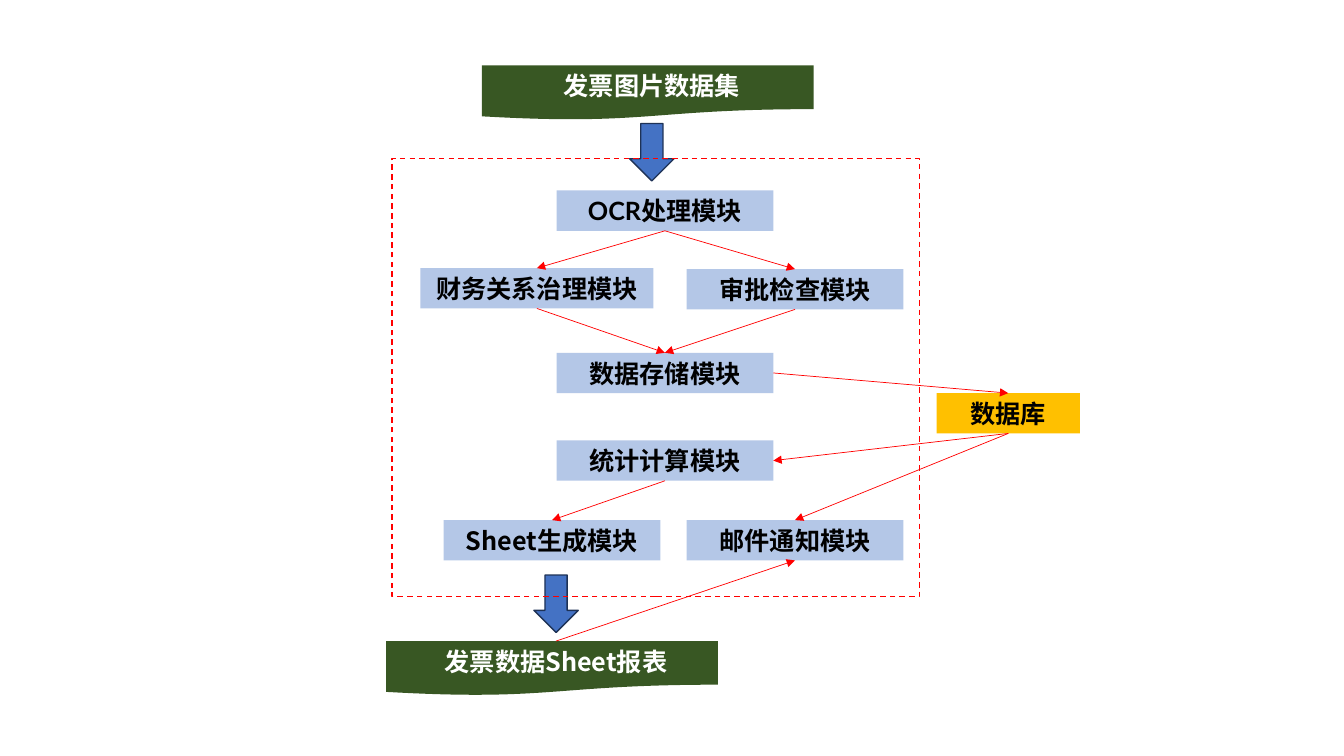
"""Build the invoice processing flow slide."""
from pptx import Presentation
from pptx.util import Inches, Pt
from pptx.dml.color import RGBColor
from pptx.enum import dml, shapes, text
from pptx.oxml.ns import qn
from lxml import etree

BLUE = RGBColor(0x44, 0x72, 0xC4)
NAVY = RGBColor(0x1E, 0x32, 0x56)
PALE = RGBColor(0xB4, 0xC7, 0xE7)
GREEN = RGBColor(0x38, 0x57, 0x23)
GOLD = RGBColor(0xFF, 0xC0, 0x00)
RED = RGBColor(0xFF, 0x00, 0x00)
BLACK = RGBColor(0, 0, 0)
WHITE = RGBColor(0xFF, 0xFF, 0xFF)
LATO, NOTO = "Lato", "Noto Sans CJK SC"
TOP, LEFT, BOTTOM, RIGHT = range(4)
KIND = shapes.MSO_SHAPE

deck = Presentation()
deck.slide_width, deck.slide_height = Inches(13.33), Inches(7.5)
slide = deck.slides.add_slide(deck.slide_layouts[6])


def draw(home, kind, box, fill=None):
    shape = home.add_shape(kind, *map(Inches, box))
    shape.shadow.inherit = False
    shape.line.fill.background()
    if fill is None:
        shape.fill.background()
    else:
        shape.fill.solid()
        shape.fill.fore_color.rgb = fill
    return shape


def write(shape, parts, color):
    frame = shape.text_frame
    frame.word_wrap = True
    frame.vertical_anchor = text.MSO_ANCHOR.MIDDLE
    para = frame.paragraphs[0]
    para.alignment = text.PP_ALIGN.CENTER
    for words, face in parts:
        run = para.add_run()
        run.text = words
        run.font.name, run.font.size, run.font.bold = face, Pt(18), True
        run.font.color.rgb = color
        east = etree.SubElement(run.font._element, qn("a:ea"))
        east.set("typeface", NOTO)


for left, top in [(5.23, 5.77), (6.18, 1.29)]:
    arrow = draw(slide.shapes, KIND.RIGHT_ARROW, (left, top, 0.57, 0.44), BLUE)
    arrow.rotation = 90
    arrow.line.color.rgb, arrow.line.width = NAVY, Pt(1)

border = draw(slide.shapes, KIND.RECTANGLE, (3.89, 1.57, 5.23, 4.35))
border.line.color.rgb, border.line.width = RED, Pt(1)
border.line.dash_style = dml.MSO_LINE.DASH

nodes = {}
for key, left, top, width, fill, parts in [
    ("ocr", 5.52, 1.89, 2.15, PALE, [("OCR处理模块", LATO)]),
    ("finance", 4.17, 2.66, 2.31, PALE, [("财务关系治理", NOTO), ("模块", LATO)]),
    ("check", 6.81, 2.67, 2.15, PALE, [("审批检查模块", LATO)]),
    ("store", 5.52, 3.5, 2.15, PALE, [("数据存储模块", LATO)]),
    ("stats", 5.52, 4.37, 2.15, PALE, [("统计计算模块", LATO)]),
    ("sheet", 4.4, 5.16, 2.15, PALE, [("Sheet生成模块", NOTO)]),
    ("mail", 6.81, 5.16, 2.15, PALE, [("邮件通知模块", NOTO)]),
    ("base", 9.29, 3.9, 1.42, GOLD, [("数据库", LATO)]),
]:
    nodes[key] = draw(slide.shapes, KIND.RECTANGLE, (left, top, width, 0.4), fill)
    write(nodes[key], parts, BLACK)

for key, left, top, words in [
    ("input", 4.78, 0.65, "发票图片数据集"),
    ("report", 3.83, 6.36, "发票数据Sheet报表"),
]:
    group = slide.shapes.add_group_shape()
    draw(group.shapes, KIND.FLOWCHART_DOCUMENT, (left, top, 3.29, 0.54), GREEN)
    label = group.shapes.add_textbox(*map(Inches, (left - 0.08, top, 3.53, 0.4)))
    write(label, [(words, NOTO)], WHITE)
    nodes[key] = label

for start, out, end, into in [
    ("ocr", BOTTOM, "finance", TOP),
    ("ocr", BOTTOM, "check", TOP),
    ("finance", BOTTOM, "store", TOP),
    ("check", BOTTOM, "store", TOP),
    ("store", RIGHT, "base", TOP),
    ("base", BOTTOM, "stats", RIGHT),
    ("base", BOTTOM, "mail", TOP),
    ("stats", BOTTOM, "sheet", TOP),
    ("report", TOP, "mail", BOTTOM),
]:
    link = slide.shapes.add_connector(shapes.MSO_CONNECTOR.STRAIGHT, 0, 0, 0, 0)
    link.begin_connect(nodes[start], out)
    link.end_connect(nodes[end], into)
    link.line.color.rgb, link.line.width = RED, Pt(0.5)
    tip = etree.SubElement(link.line._get_or_add_ln(), qn("a:tailEnd"))
    tip.set("type", "triangle")
    etree.SubElement(link._element.spPr, qn("a:effectLst"))

deck.save("out.pptx")
